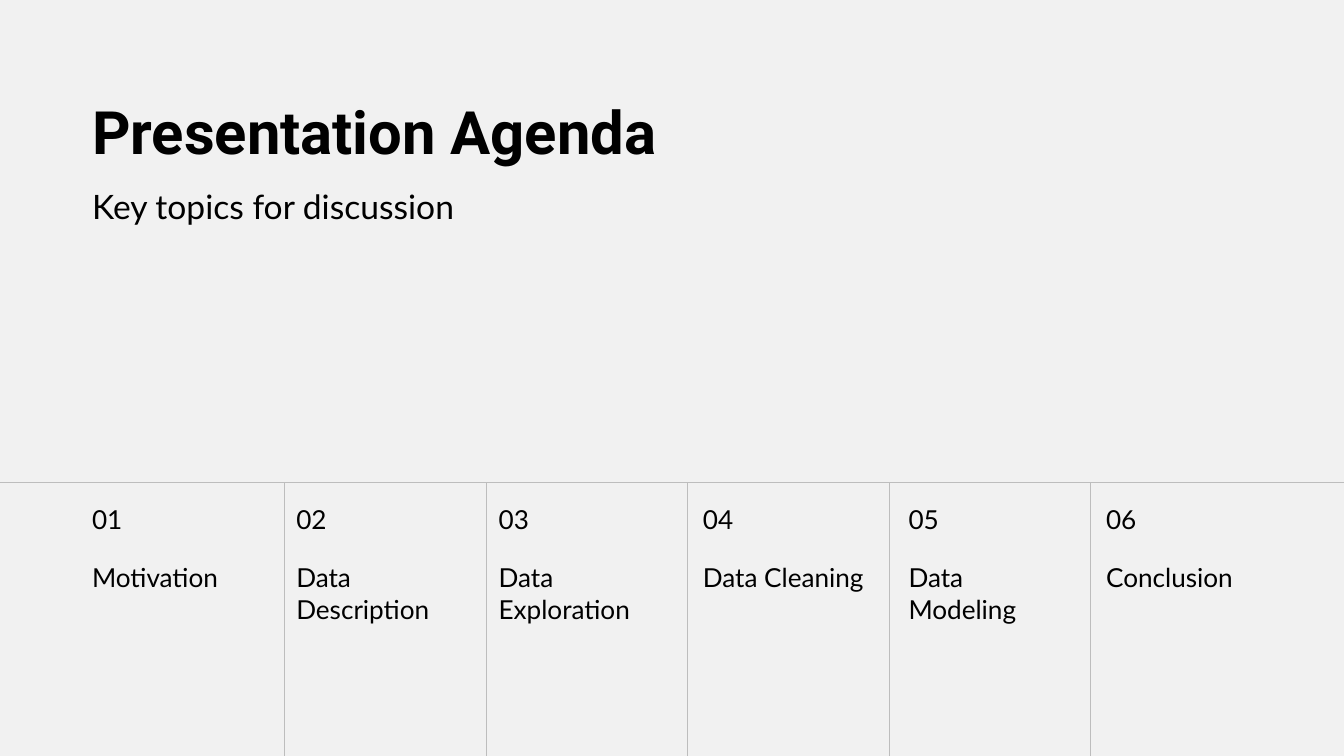
from lxml.etree import SubElement
from pptx import Presentation
from pptx.dml.color import RGBColor
from pptx.enum.shapes import MSO_CONNECTOR as Connector
from pptx.enum.text import MSO_ANCHOR as Anchor, MSO_AUTO_SIZE as AutoSize, PP_ALIGN as Align
from pptx.oxml.ns import qn
from pptx.util import Inches, Pt

# Content
TITLE = "Presentation Agenda"
SUBTITLE = "Key topics for discussion"
TOPICS = [  # topic, left, width, lines of text
    ("Motivation", 1.37, 2.56, 1),
    ("Data Description", 4.41, 2.6, 2),
    ("Data Exploration", 7.42, 2.41, 2),
    ("Data Cleaning", 10.46, 2.41, 1),
    ("Data Modeling", 13.52, 2.39, 2),
    ("Conclusion", 16.46, 2.19, 1),
]

# Theme
THEME = {
    "background": RGBColor(0xF1, 0xF1, 0xF1),
    "text": RGBColor(0, 0, 0),
    "rule": RGBColor(0xBD, 0xBD, 0xBD),
    "rule_width": Pt(0.75),
    "title": {"name": "Roboto", "size": Pt(64), "bold": True},
    "subtitle": {"name": "Lato", "size": Pt(36), "bold": False},
    "topic": {"name": "Lato", "size": Pt(28), "bold": False},
    "spacing": {"title": Pt(88), "subtitle": Pt(43.2), "topic": Pt(33.6)},
}

# Layout, in inches
WIDTH, HEIGHT = 20, 11.25
MARGIN, HEADING_WIDTH = 1.37, 15.64
RULE_TOP, FIRST_RULE, RULE_STEP = 7.18, 4.23, 3
NUMBER_TOP, TOPIC_TOP, LINE_HEIGHT = 7.49, 8.36, 0.46


def set_text(sp, text, style, left, top, width, height):
    sp.left, sp.top, sp.width, sp.height = map(Inches, (left, top, width, height))
    tf = sp.text_frame
    frame = {"word_wrap": True, "auto_size": AutoSize.SHAPE_TO_FIT_TEXT,
             "vertical_anchor": Anchor.TOP, "margin_left": 0, "margin_top": 0,
             "margin_right": 0, "margin_bottom": 0}
    for key, value in frame.items():
        setattr(tf, key, value)
    p = tf.paragraphs[0]
    p.alignment, p.space_before = Align.LEFT, Pt(0)
    p.line_spacing = THEME["spacing"][style]
    r = p.add_run()
    r.text = text
    for key, value in THEME[style].items():
        setattr(r.font, key, value)
    r.font.color.rgb = THEME["text"]


def add_rule(slide, x1, y1, x2, y2):
    line = slide.shapes.add_connector(Connector.STRAIGHT, *map(Inches, (x1, y1, x2, y2)))
    line.line.color.rgb = THEME["rule"]
    line.line.width = THEME["rule_width"]
    SubElement(line._element.spPr, qn("a:effectLst"))


def main():
    prs = Presentation()
    prs.slide_width, prs.slide_height = Inches(WIDTH), Inches(HEIGHT)
    slide = prs.slides.add_slide(prs.slide_layouts[0])
    slide.background.fill.solid()
    slide.background.fill.fore_color.rgb = THEME["background"]

    # Heading
    set_text(slide.shapes.title, TITLE, "title", MARGIN, 1.26, HEADING_WIDTH, 1.16)
    set_text(slide.placeholders[1], SUBTITLE, "subtitle", MARGIN, 2.76, HEADING_WIDTH, 0.6)

    # Numbered topics
    for number, (topic, left, width, lines) in enumerate(TOPICS, 1):
        for text, top, count in ((topic, TOPIC_TOP, lines), (f"{number:02}", NUMBER_TOP, 1)):
            sp = slide.shapes.add_textbox(0, 0, 0, 0)
            set_text(sp, text, "topic", left, top, width, count * LINE_HEIGHT)

    # Rule above the topics and dividers between them
    add_rule(slide, 0, RULE_TOP, WIDTH, RULE_TOP)
    for i in range(len(TOPICS) - 1):
        x = FIRST_RULE + i * RULE_STEP
        add_rule(slide, x, RULE_TOP, x, HEIGHT)

    prs.save("out.pptx")


if __name__ == "__main__":
    main()
